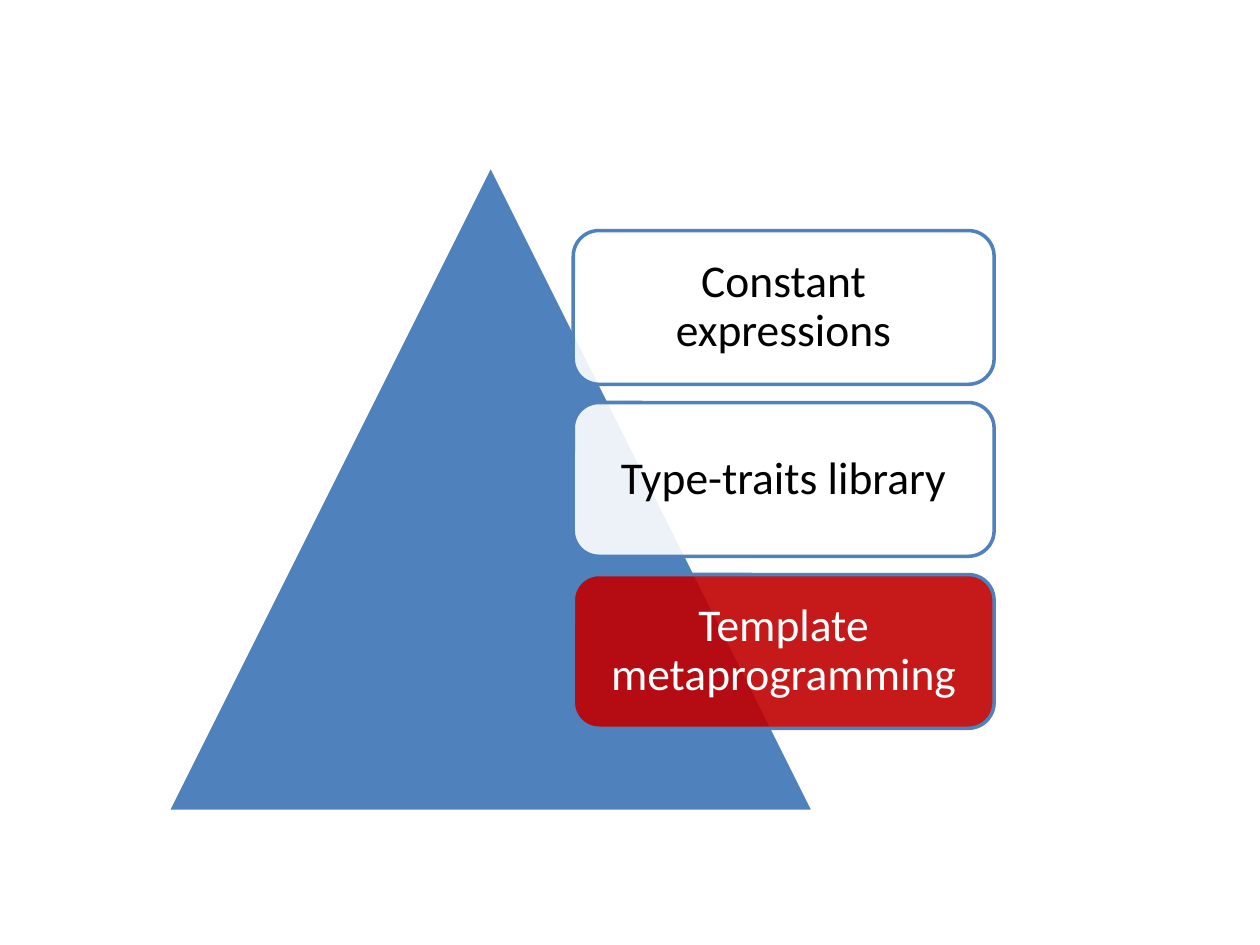
"""Build a slide with a pyramid and three topic boxes."""
import pptx
import pptx.util
import pptx.dml.color
import pptx.enum.shapes
import pptx.enum.text
import pptx.oxml
import pptx.oxml.ns

Inches = pptx.util.Inches
Pt = pptx.util.Pt
KIND = pptx.enum.shapes.MSO_SHAPE

HUES = {"blue": "4F81BD", "white": "FFFFFF", "red": "C00000", "black": "000000"}
TOPICS = [
    ("Constant expressions", "white", "black"),
    ("Type-traits library", "white", "black"),
    ("Template metaprogramming", "red", "white"),
]
LEFT, TOP, WIDTH, HEIGHT = 4.55, 1.83, 3.34, 1.22
STEP = 1.365
INSET = 0.11


def tint(name):
    return pptx.dml.color.RGBColor.from_string(HUES[name])


def draw(slide, kind, place, fill, line):
    shape = slide.shapes.add_shape(kind, *map(Inches, place))
    shape.shadow.inherit = False
    shape.fill.solid()
    shape.fill.fore_color.rgb = tint(fill)
    shape.line.color.rgb = tint(line)
    shape.line.width = Pt(2)
    return shape


def fade(shape, share):
    color = shape.fill._xPr.find(".//" + pptx.oxml.ns.qn("a:srgbClr"))
    alpha = pptx.oxml.parse_xml(
        f'<a:alpha {pptx.oxml.ns.nsdecls("a")} val="{share * 1000}"/>'
    )
    color.append(alpha)


def label(shape, text, hue):
    frame = shape.text_frame
    frame.word_wrap = True
    frame.vertical_anchor = pptx.enum.text.MSO_ANCHOR.MIDDLE
    frame.margin_left = frame.margin_right = Inches(INSET)
    frame.margin_top = frame.margin_bottom = Inches(INSET)
    para = frame.paragraphs[0]
    para.text = text
    para.alignment = pptx.enum.text.PP_ALIGN.CENTER
    para.line_spacing = 0.9
    para.space_after = Pt(11)
    para.font.name = "Calibri"
    para.font.size = Pt(26)
    para.font.color.rgb = tint(hue)


def main():
    deck = pptx.Presentation()
    deck.slide_width, deck.slide_height = Inches(10), Inches(7.5)
    slide = deck.slides.add_slide(deck.slide_layouts[6])
    draw(slide, KIND.ISOSCELES_TRIANGLE, (1.33, 1.31, 5.13, 5.13), "blue", "white")
    for row, (text, fill, hue) in enumerate(TOPICS):
        place = (LEFT, TOP + row * STEP, WIDTH, HEIGHT)
        box = draw(slide, KIND.ROUNDED_RECTANGLE, place, fill, "blue")
        fade(box, 90)
        label(box, text, hue)
    deck.save("out.pptx")


if __name__ == "__main__":
    main()
